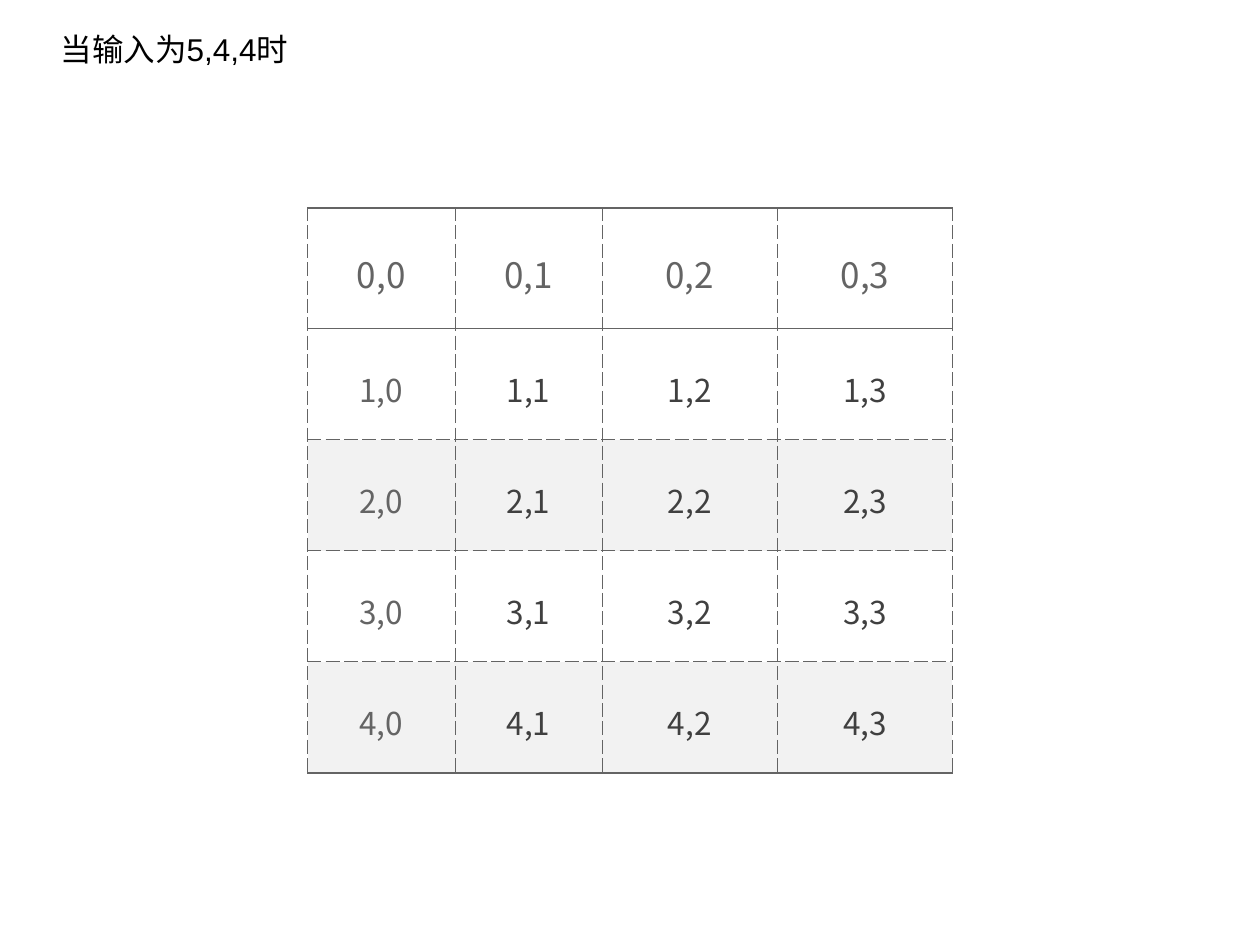
from dataclasses import dataclass

from lxml.etree import SubElement
from pptx import Presentation
from pptx.dml.color import RGBColor
from pptx.enum.text import MSO_ANCHOR, MSO_AUTO_SIZE, PP_ALIGN
from pptx.oxml.ns import qn
from pptx.util import Cm, Pt

GREY = "646464"
DARK = "404040"
WHITE = "FFFFFF"
BAND = "F2F2F2"
CJK_FONT = "Noto Sans CJK SC"

COLUMN_WIDTHS = (2.97, 2.97, 3.53, 3.53)
ROW_HEIGHTS = (2.43, 2.24, 2.24, 2.24, 2.24)


@dataclass(frozen=True)
class Border:
    width: float
    dash: str


RULE = Border(1.08, "solid")
GRID = Border(0.34, "dash")


def color(value: str) -> RGBColor:
    return RGBColor.from_string(value)


def write_text(frame, text: str, *, size: float, font: str, fill: str,
               align=PP_ALIGN.LEFT, anchor=MSO_ANCHOR.TOP, spacing: float = 1.0) -> None:
    frame.vertical_anchor = anchor
    paragraph = frame.paragraphs[0]
    paragraph.alignment = align
    paragraph.line_spacing = spacing
    run = paragraph.add_run()
    run.text = text
    run.font.size = Pt(size)
    run.font.name = font
    run.font.color.rgb = color(fill)
    SubElement(run.font._element, qn("a:ea"), typeface=CJK_FONT)


def add_border(cell, side: str, border: Border) -> None:
    line = SubElement(cell._tc.get_or_add_tcPr(), qn(f"a:ln{side}"), w=str(Pt(border.width)))
    fill = SubElement(line, qn("a:solidFill"))
    SubElement(fill, qn("a:srgbClr"), val=GREY)
    SubElement(line, qn("a:prstDash"), val=border.dash)


def format_cell(cell, row: int, column: int) -> None:
    header = row == 0
    # Solid rules frame the header row and close the table
    top = RULE if row <= 1 else GRID
    bottom = RULE if row in (0, len(ROW_HEIGHTS) - 1) else GRID
    for side, border in (("L", GRID), ("R", GRID), ("T", top), ("B", bottom)):
        add_border(cell, side, border)
    cell.fill.solid()
    cell.fill.fore_color.rgb = color(BAND if row and row % 2 == 0 else WHITE)
    cell.margin_left = cell.margin_right = Cm(0.89)
    cell.margin_top = cell.margin_bottom = Cm(0.13)
    cell.vertical_anchor = MSO_ANCHOR.MIDDLE
    write_text(cell.text_frame, f"{row},{column}", size=20 if header else 18, font=CJK_FONT,
               fill=GREY if header or column == 0 else DARK,
               align=PP_ALIGN.CENTER, anchor=MSO_ANCHOR.MIDDLE, spacing=1.2)


def add_index_table(slide) -> None:
    table = slide.shapes.add_table(
        len(ROW_HEIGHTS), len(COLUMN_WIDTHS), Cm(6.2), Cm(4.19),
        Cm(sum(COLUMN_WIDTHS)), Cm(sum(ROW_HEIGHTS))).table
    for column, width in zip(table.columns, COLUMN_WIDTHS):
        column.width = Cm(width)
    for row, height in zip(table.rows, ROW_HEIGHTS):
        row.height = Cm(height)
    for row in range(len(ROW_HEIGHTS)):
        for column in range(len(COLUMN_WIDTHS)):
            format_cell(table.cell(row, column), row, column)


def add_title(slide, text: str) -> None:
    title = slide.shapes.title
    title.left, title.top, title.width, title.height = Cm(0.97), Cm(0.48), Cm(5.38), Cm(1.02)
    frame = title.text_frame
    frame.word_wrap = False
    frame.auto_size = MSO_AUTO_SIZE.SHAPE_TO_FIT_TEXT
    write_text(frame, text, size=18, font="Arial", fill="000000")


def main() -> None:
    presentation = Presentation()
    presentation.slide_width, presentation.slide_height = Cm(25.4), Cm(19.05)
    slide = presentation.slides.add_slide(presentation.slide_layouts[5])

    # Heading
    add_title(slide, "当输入为5,4,4时")

    # Grid of row and column indices
    add_index_table(slide)

    presentation.save("out.pptx")


if __name__ == "__main__":
    main()
